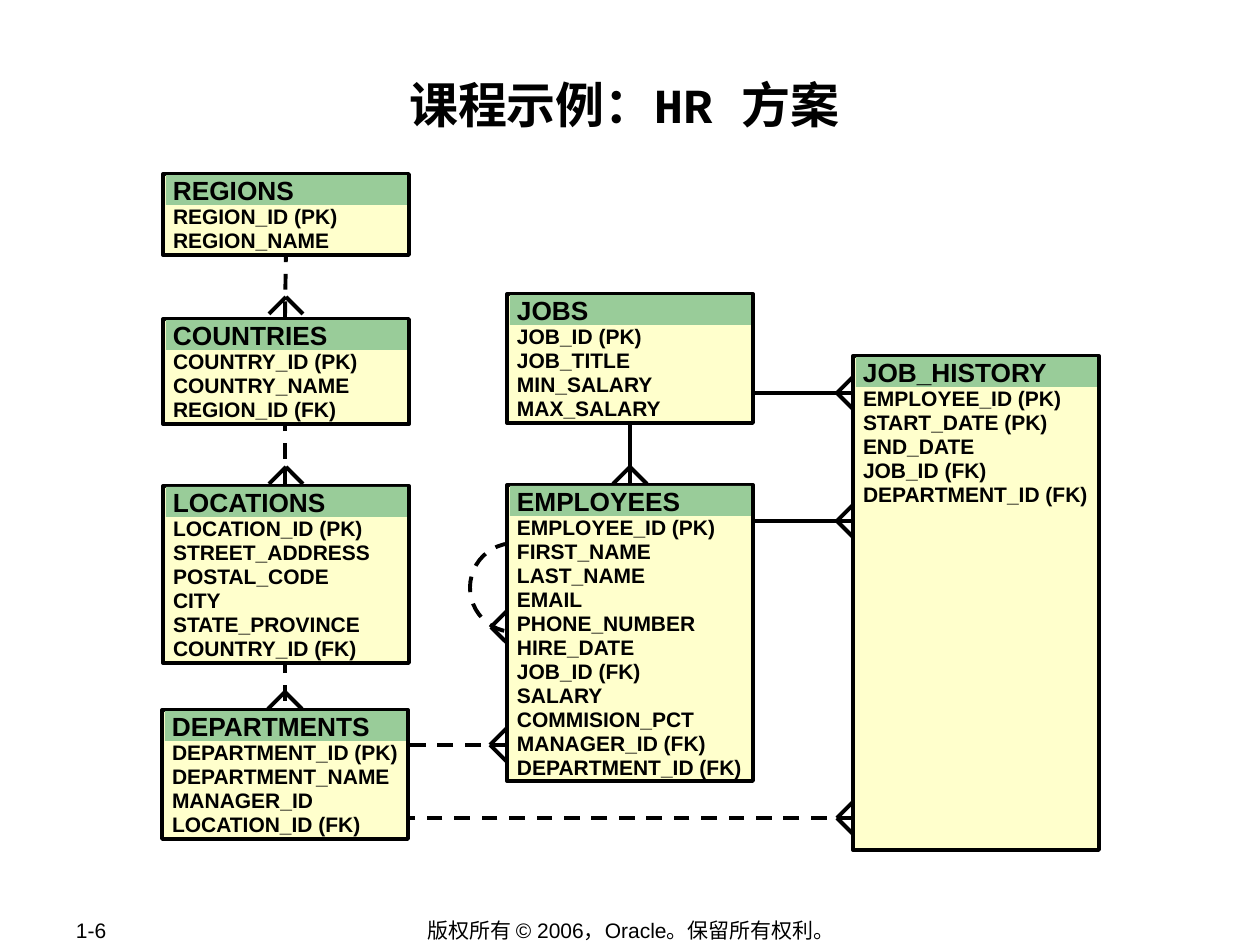
from typing import NamedTuple

from lxml import etree
from pptx import Presentation
from pptx.dml.color import RGBColor
from pptx.enum.dml import MSO_LINE
from pptx.enum.shapes import MSO_CONNECTOR, MSO_SHAPE
from pptx.enum.text import MSO_ANCHOR, PP_ALIGN
from pptx.oxml.ns import qn
from pptx.util import Emu, Pt

PX = 914400 // 126
BLACK = RGBColor(0x00, 0x00, 0x00)
CREAM = RGBColor(0xFF, 0xFF, 0xCC)
GREEN = RGBColor(0x99, 0xCC, 0x99)
DASH = MSO_LINE.DASH
RECTANGLE, OVAL = MSO_SHAPE.RECTANGLE, MSO_SHAPE.OVAL
STRAIGHT = MSO_CONNECTOR.STRAIGHT
TOP, MIDDLE = MSO_ANCHOR.TOP, MSO_ANCHOR.MIDDLE
LEFT, CENTER = PP_ALIGN.LEFT, PP_ALIGN.CENTER

STROKE = Pt(2.25)
FIELD_PITCH = Pt(13.7)
ENTITY_WIDTH = 246
BAND_HEIGHT = 30
FOOT_REACH = 17

HEADING = {"name": "Arial", "size": Pt(15), "bold": True}
FIELD = {"name": "Arial", "size": Pt(12), "bold": True}
FOOTER = {"name": "Arial", "size": Pt(12)}
TITLE = {"name": "Arial", "size": Pt(28), "bold": True}
TITLE_CODE = TITLE | {"name": "Courier New"}


class Point(NamedTuple):
    x: int
    y: int


class Entity(NamedTuple):
    name: str
    left: int
    top: int
    height: int
    fields: list[str]


class Relationship(NamedTuple):
    child: Point
    parent: Point
    foot_tip: Point
    dashed: bool


class Label(NamedTuple):
    box: tuple[int, int, int, int]
    runs: list[tuple[str, dict]]
    align: PP_ALIGN
    anchor: MSO_ANCHOR
    insets: tuple[int, int, int, int]
    wrap: bool


ENTITIES = [
    Entity("REGIONS", 163, 174, 81, ["REGION_ID (PK)", "REGION_NAME"]),
    Entity("COUNTRIES", 163, 319, 105,
           ["COUNTRY_ID (PK)", "COUNTRY_NAME", "REGION_ID (FK)"]),
    Entity("LOCATIONS", 163, 486, 177,
           ["LOCATION_ID (PK)", "STREET_ADDRESS", "POSTAL_CODE", "CITY",
            "STATE_PROVINCE", "COUNTRY_ID (FK)"]),
    Entity("DEPARTMENTS", 162, 710, 129,
           ["DEPARTMENT_ID (PK)", "DEPARTMENT_NAME", "MANAGER_ID",
            "LOCATION_ID (FK)"]),
    Entity("JOBS", 507, 294, 129,
           ["JOB_ID (PK)", "JOB_TITLE", "MIN_SALARY", "MAX_SALARY"]),
    Entity("EMPLOYEES", 507, 485, 296,
           ["EMPLOYEE_ID (PK)", "FIRST_NAME", "LAST_NAME", "EMAIL",
            "PHONE_NUMBER", "HIRE_DATE", "JOB_ID (FK)", "SALARY",
            "COMMISION_PCT", "MANAGER_ID (FK)", "DEPARTMENT_ID (FK)"]),
    Entity("JOB_HISTORY", 853, 356, 494,
           ["EMPLOYEE_ID (PK)", "START_DATE (PK)", "END_DATE",
            "JOB_ID (FK)", "DEPARTMENT_ID (FK)"]),
]

RELATIONSHIPS = [
    Relationship(Point(508, 745), Point(350, 745), Point(490, 745), True),
    Relationship(Point(854, 818), Point(318, 818), Point(837, 818), True),
    Relationship(Point(854, 521), Point(702, 521), Point(837, 521), False),
    Relationship(Point(854, 393), Point(702, 393), Point(837, 393), False),
    Relationship(Point(630, 483), Point(630, 413), Point(630, 467), False),
    Relationship(Point(285, 728), Point(285, 659), Point(285, 692), True),
    Relationship(Point(285, 486), Point(285, 417), Point(286, 467), True),
    Relationship(Point(285, 317), Point(286, 248), Point(286, 297), True),
]

MANAGER_LOOP = (470, 543, 89, 89)
MANAGER_FOOT_TIP = Point(491, 627)

LABELS = [
    Label((126, 73, 1008, 121),
          [("课程示例：", TITLE), ("HR ", TITLE_CODE), ("方案 ", TITLE)],
          CENTER, TOP, (1, 1, 1, 1), True),
    Label((348, 917, 566, 26),
          [("版权所有 © 2006，Oracle。保留所有权利。", FOOTER)],
          CENTER, MIDDLE, (13, 6, 13, 6), False),
    Label((63, 917, 134, 26), [("1-6", FOOTER)],
          LEFT, MIDDLE, (13, 6, 13, 6), False),
]


def px(*lengths: int) -> list[Emu]:
    return [Emu(length * PX) for length in lengths]


def set_frame(frame, insets: tuple, anchor: MSO_ANCHOR, wrap: bool) -> None:
    left, top, right, bottom = px(*insets)
    settings = {"margin_left": left, "margin_top": top, "margin_right": right,
                "margin_bottom": bottom, "vertical_anchor": anchor,
                "word_wrap": wrap}
    for key, value in settings.items():
        setattr(frame, key, value)


def add_run(paragraph, text: str, style: dict) -> None:
    run = paragraph.add_run()
    run.text = text
    run.font.color.rgb = BLACK
    for key, value in style.items():
        setattr(run.font, key, value)


def draw_line(slide, start: Point, end: Point, dashed: bool = False) -> None:
    line = slide.shapes.add_connector(STRAIGHT, *px(*start, *end))
    line.line.color.rgb = BLACK
    line.line.width = STROKE
    if dashed:
        line.line.dash_style = DASH
    etree.SubElement(line._element.spPr, qn("a:effectLst"))


def draw_foot(slide, tip: Point, horizontal: bool) -> None:
    for side in (FOOT_REACH, -FOOT_REACH):
        dx, dy = (FOOT_REACH, side) if horizontal else (side, FOOT_REACH)
        draw_line(slide, Point(tip.x + dx, tip.y + dy), tip)


def draw_relationship(slide, link: Relationship) -> None:
    draw_line(slide, link.child, link.parent, link.dashed)
    draw_foot(slide, link.foot_tip, link.child.y == link.parent.y)


def draw_manager_loop(slide) -> None:
    loop = slide.shapes.add_shape(OVAL, *px(*MANAGER_LOOP))
    loop.shadow.inherit = False
    loop.fill.background()
    loop.line.color.rgb = BLACK
    loop.line.width = STROKE
    loop.line.dash_style = DASH
    loop.rotation = 247.9
    draw_foot(slide, MANAGER_FOOT_TIP, True)


def draw_panel(slide, box: tuple, fill: RGBColor, insets: tuple,
               anchor: MSO_ANCHOR, lines: list[str], style: dict):
    panel = slide.shapes.add_shape(RECTANGLE, *px(*box))
    panel.shadow.inherit = False
    panel.fill.solid()
    panel.fill.fore_color.rgb = fill
    panel.line.fill.background()
    frame = panel.text_frame
    set_frame(frame, insets, anchor, True)
    for index, text in enumerate(lines):
        paragraph = frame.add_paragraph() if index else frame.paragraphs[0]
        paragraph.alignment = LEFT
        if style is FIELD:
            paragraph.line_spacing = FIELD_PITCH
        add_run(paragraph, text, style)
    return panel


def draw_entity(slide, entity: Entity) -> None:
    # Field list, starting below the name band
    body = draw_panel(slide, (entity.left, entity.top, ENTITY_WIDTH, entity.height),
                      CREAM, (10, BAND_HEIGHT + 1, 1, 1), TOP, entity.fields, FIELD)
    body.line.color.rgb = BLACK
    body.line.width = STROKE
    # Name band
    draw_panel(slide, (entity.left + 3, entity.top + 1, ENTITY_WIDTH - 5, BAND_HEIGHT),
               GREEN, (7, 0, 0, 0), MIDDLE, [entity.name], HEADING)


def draw_label(slide, label: Label) -> None:
    frame = slide.shapes.add_textbox(*px(*label.box)).text_frame
    set_frame(frame, label.insets, label.anchor, label.wrap)
    paragraph = frame.paragraphs[0]
    paragraph.alignment = label.align
    for text, style in label.runs:
        add_run(paragraph, text, style)


def main() -> None:
    prs = Presentation()
    prs.slide_width, prs.slide_height = px(1260, 945)
    slide = prs.slides.add_slide(prs.slide_layouts[6])
    # Title and footer
    for label in LABELS:
        draw_label(slide, label)
    # Relationships lie behind the entities
    draw_manager_loop(slide)
    for link in RELATIONSHIPS:
        draw_relationship(slide, link)
    for entity in ENTITIES:
        draw_entity(slide, entity)
    prs.save("out.pptx")


if __name__ == "__main__":
    main()
